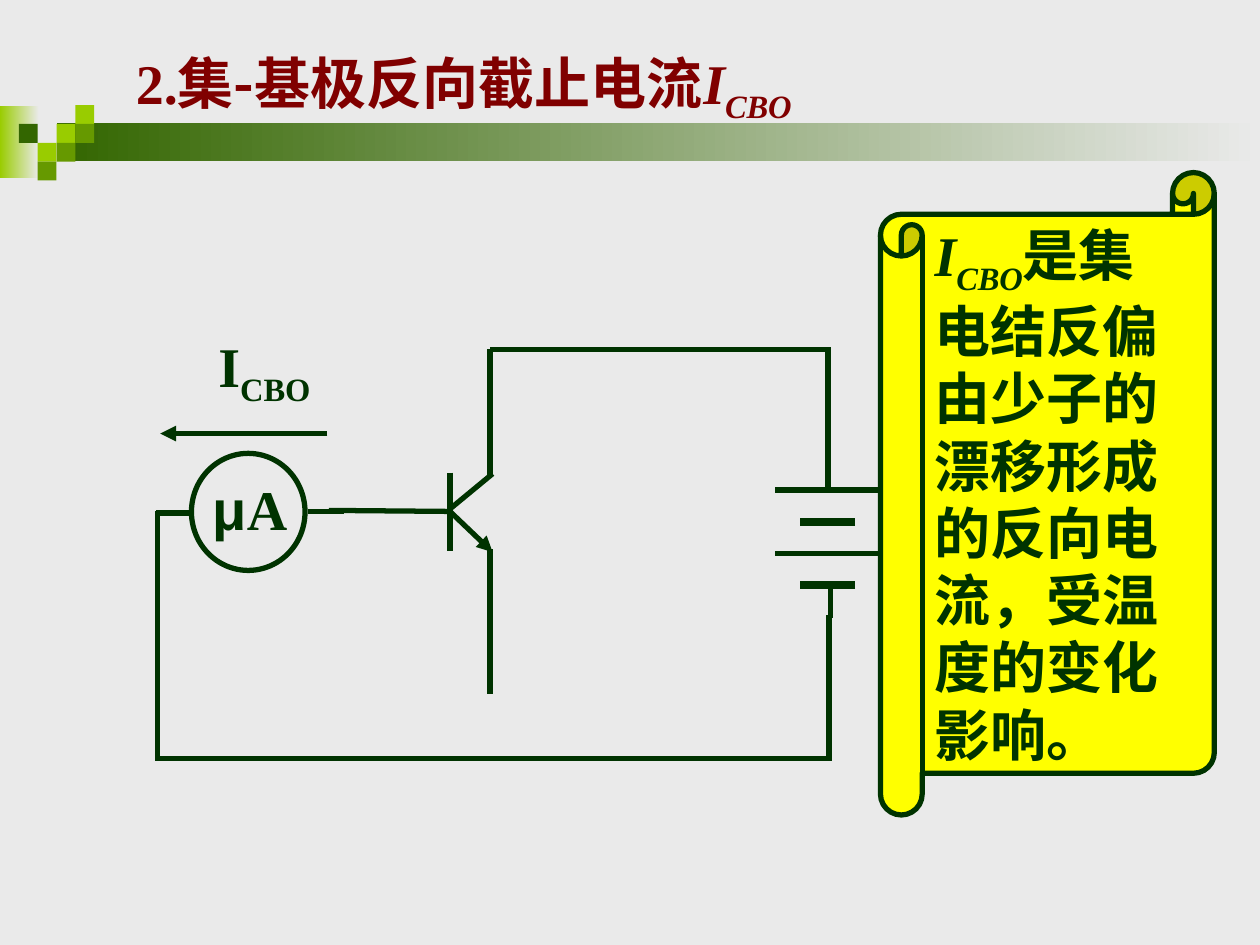
from dataclasses import dataclass

from lxml.etree import SubElement
from pptx import Presentation
from pptx.dml.color import RGBColor
from pptx.enum.shapes import MSO_CONNECTOR, MSO_SHAPE as Shape
from pptx.enum.text import MSO_ANCHOR, PP_ALIGN as Align
from pptx.oxml.ns import qn
from pptx.util import Cm, Pt


@dataclass(frozen=True)
class Theme:
    paper: str = "EAEAEA"
    lime: str = "99CC00"
    leaf: str = "669900"
    moss: str = "336600"
    ink: str = "003300"
    heading: str = "800000"
    scroll: str = "FFFF00"
    serif: str = "Times New Roman"
    sans: str = "Arial"
    chinese: str = "Noto Sans CJK SC"
    text_size: float = 32
    wire_width: float = 3
    plate_width: float = 4.5


theme = Theme()
rgb = RGBColor.from_string


def write_text(shape, runs, color=theme.ink, align=Align.LEFT, wrap=True):
    """Each run is (text, font, italic, subscript)."""
    frame = shape.text_frame
    frame.word_wrap = wrap
    frame.vertical_anchor = MSO_ANCHOR.MIDDLE
    paragraph = frame.paragraphs[0]
    paragraph.alignment = align
    for text, font_name, italic, subscript in runs:
        run = paragraph.add_run()
        run.text = text
        font = run.font
        font.name, font.size = font_name, Pt(theme.text_size)
        font.bold, font.italic = True, italic
        font.color.rgb = rgb(color)
        properties = run._r.get_or_add_rPr()
        SubElement(properties, qn("a:ea"), typeface=theme.chinese)
        if subscript:
            properties.set("baseline", "-25000")


def draw_wire(x1, y1, x2, y2, width=theme.wire_width, arrow=False):
    wire = slide.shapes.add_connector(
        MSO_CONNECTOR.STRAIGHT, Cm(x1), Cm(y1), Cm(x2), Cm(y2))
    wire.line.color.rgb = rgb(theme.ink)
    wire.line.width = Pt(width)
    if arrow:
        SubElement(wire.line._get_or_add_ln(), qn("a:tailEnd"), type="triangle")
    SubElement(wire._element.spPr, qn("a:effectLst"))


prs = Presentation()
prs.slide_width, prs.slide_height = Cm(25.4), Cm(19.05)
slide = prs.slides.add_slide(prs.slide_layouts[6])
slide.background.fill.solid()
slide.background.fill.fore_color.rgb = rgb(theme.paper)

# Fading bands behind the heading
for left, top, width, height, color in [
    (0, 2.13, 0.79, 1.47, theme.lime),
    (1.14, 2.49, 24.26, 0.76, theme.moss),
]:
    band = slide.shapes.add_shape(
        Shape.RECTANGLE, Cm(left), Cm(top), Cm(width), Cm(height))
    band.shadow.inherit = False
    band.line.fill.background()
    band.fill.gradient()
    band.fill.gradient_angle = 0
    for stop, stop_color in zip(band.fill.gradient_stops, (color, theme.paper)):
        stop.color.rgb = rgb(stop_color)

# Mosaic of small squares on a grid of columns and rows
square = 0.38
for column, row, color in [
    (2, 1, theme.lime), (3, 0, theme.lime), (3, 1, theme.leaf),
    (1, 2, theme.lime), (0, 1, theme.moss), (2, 2, theme.leaf),
    (1, 3, theme.leaf),
]:
    tile = slide.shapes.add_shape(
        Shape.RECTANGLE, Cm(0.38 + column * square), Cm(2.12 + row * square),
        Cm(square), Cm(square))
    tile.shadow.inherit = False
    tile.line.fill.background()
    tile.fill.solid()
    tile.fill.fore_color.rgb = rgb(color)

heading = slide.shapes.add_textbox(Cm(2.49), Cm(0.84), Cm(17.88), Cm(1.8))
write_text(heading, [
    ("2.", theme.serif, False, False),
    ("集-基极反向截止电流", theme.chinese, False, False),
    ("I", theme.serif, True, False),
    ("CBO", theme.serif, True, True),
], color=theme.heading)

# Transistor
draw_wire(6.63, 10.29, 9.12, 10.31)
draw_wire(9.07, 9.53, 9.07, 11.1)
draw_wire(9.07, 10.31, 9.93, 11.13, arrow=True)
draw_wire(9.07, 10.26, 9.93, 9.55)
draw_wire(9.88, 7.04, 9.88, 9.6)
draw_wire(9.88, 11.07, 9.88, 14)

# Microammeter and its leads
meter = slide.shapes.add_shape(Shape.OVAL, Cm(3.86), Cm(9.14), Cm(2.29), Cm(2.36))
meter.shadow.inherit = False
meter.fill.background()
meter.line.color.rgb = rgb(theme.ink)
meter.line.width = Pt(theme.wire_width)
unit = slide.shapes.add_textbox(Cm(3.91), Cm(9.42), Cm(2.26), Cm(1.63))
write_text(unit, [
    ("μ", theme.sans, False, False),
    ("A", theme.serif, False, False),
], align=Align.CENTER)
draw_wire(6.2, 10.31, 6.93, 10.31)
draw_wire(3.84, 10.34, 3.15, 10.34)

# Battery: long and short plates in turn
battery_x = 16.68
for index in range(4):
    half, width = [(1.06, theme.wire_width), (0.56, theme.plate_width)][index % 2]
    plate_y = 9.88 + index * 0.64
    draw_wire(battery_x + half, plate_y, battery_x - half, plate_y, width=width)
draw_wire(16.69, 9.22, 16.69, 9.88)
draw_wire(16.74, 11.79, 16.74, 12.45)

# Outer loop
draw_wire(9.88, 7.04, 16.66, 7.04)
draw_wire(16.69, 9.27, 16.69, 6.99)
draw_wire(3.18, 10.31, 3.18, 15.34)
draw_wire(3.18, 15.29, 16.71, 15.29)
draw_wire(16.71, 12.4, 16.71, 15.34)

# Current label and direction
current = slide.shapes.add_textbox(Cm(3.91), Cm(6.55), Cm(2.84), Cm(1.8))
write_text(current, [
    ("I", theme.serif, False, False),
    ("CBO", theme.serif, False, True),
], align=Align.CENTER, wrap=False)
draw_wire(6.6, 8.74, 3.23, 8.74, arrow=True)

scroll = slide.shapes.add_shape(
    Shape.HORIZONTAL_SCROLL, Cm(17.75), Cm(3.48), Cm(6.73), Cm(12.95))
scroll.shadow.inherit = False
scroll.adjustments[0] = 0.125
scroll.fill.solid()
scroll.fill.fore_color.rgb = rgb(theme.scroll)
scroll.line.color.rgb = rgb(theme.ink)
scroll.line.width = Pt(theme.wire_width)
write_text(scroll, [
    ("I", theme.serif, True, False),
    ("CBO", theme.serif, True, True),
    ("是集电结反偏由少子的漂移形成的反向电流，受温度的变化影响。",
     theme.serif, False, False),
])

prs.save("out.pptx")
